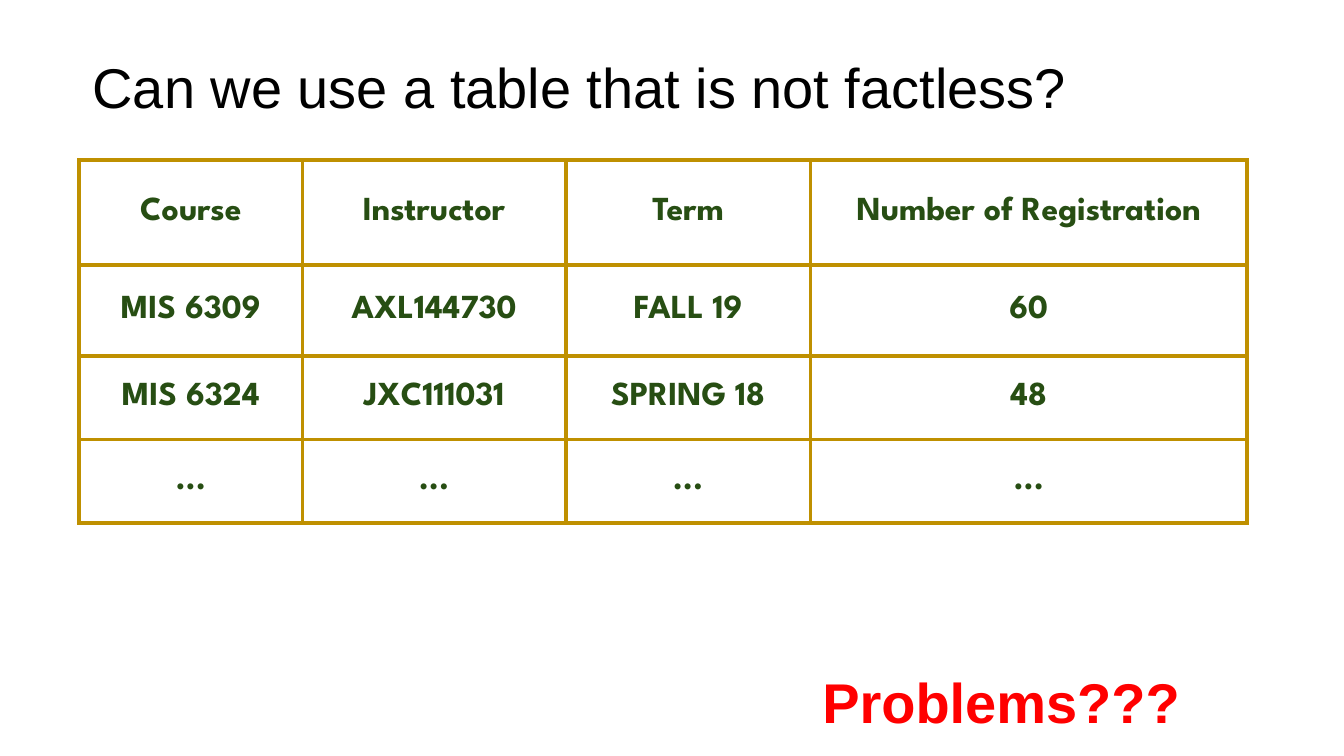
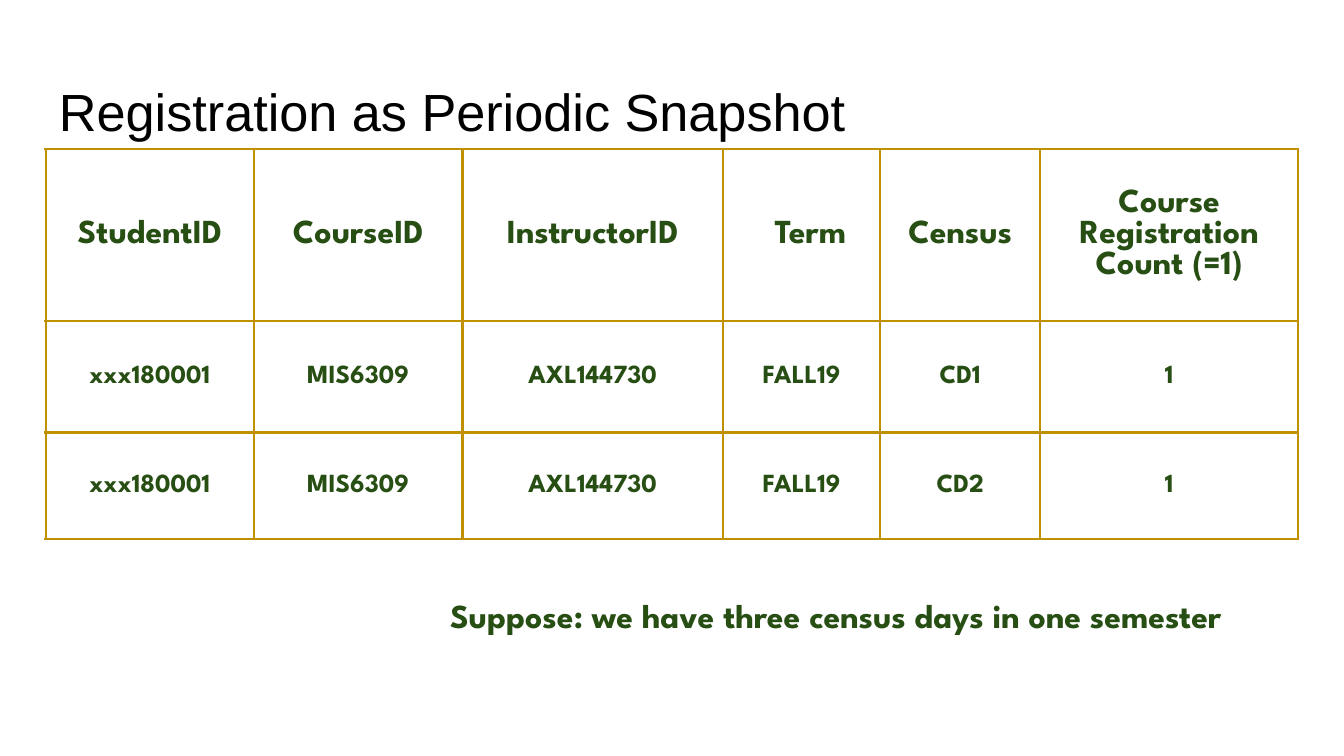
from lxml import etree
from pptx import Presentation
from pptx.dml.color import RGBColor
from pptx.enum.text import MSO_ANCHOR, PP_ALIGN
from pptx.oxml.ns import qn
from pptx.util import Inches, Pt

GREEN, GOLD, RED, BLACK = "274E13", "BF9000", "FF0000", "000000"
BODY_FONT, TITLE_FONT = "League Spartan", "Arial"
PAD = 0.1

SLIDES = [
    {
        "title": ("Can we use a table that is not factless?", (0.59, 0.29, 8.09, 0.63), 30),
        "table": {
            "at": (0.59, 1.19),
            "cols": [1.66, 1.96, 1.82, 3.25],
            "heights": [0.78, 0.68, 0.62, 0.62],
            "border": 2.25,
            "body_size": 18,
            "rows": [
                ["Course", "Instructor", "Term", "Number of Registration"],
                ["MIS 6309", "AXL144730", "FALL 19", "60"],
                ["MIS 6324", "JXC111031", "SPRING 18", "48"],
                ["..."] * 4,
            ],
        },
        "note": ("Problems???", (6.02, 4.87, 3.79, 0.76),
                 {"size": 30, "font": TITLE_FONT, "color": RED}),
    },
    {
        "title": ("Registration as Periodic Snapshot", (0.34, 0.49, 9.32, 0.63), 28),
        "table": {
            "at": (0.34, 1.11),
            "cols": [1.55, 1.55, 1.94, 1.17, 1.19, 1.92],
            "heights": [1.28, 0.83, 0.79],
            "border": 1.5,
            "body_size": 14,
            "indents": {(0, 3): 0.13},
            "rows": [
                ["StudentID", "CourseID", "InstructorID", "Term", "Census",
                 "Course Registration Count (=1)"],
                ["xxx180001", "MIS6309", "AXL144730", "FALL19", "CD1", "1"],
                ["xxx180001", "MIS6309", "AXL144730", "FALL19", "CD2", "1"],
            ],
        },
        "note": ("Suppose: we have three census days in one semester",
                 (3.25, 4.33, 6.41, 0.63), {}),
    },
]


def rgb(value):
    return RGBColor.from_string(value)


def write(tf, content, size=18, font=BODY_FONT, color=GREEN, bold=True, align=PP_ALIGN.LEFT):
    tf.word_wrap = True
    p = tf.paragraphs[0]
    p.alignment = align
    r = p.add_run()
    r.text = content
    r.font.size, r.font.name, r.font.bold = Pt(size), font, bold
    r.font.color.rgb = rgb(color)


def set_margins(target):
    """Give a cell or a text frame the same inset on every side."""
    target.margin_left = target.margin_right = Inches(PAD)
    target.margin_top = target.margin_bottom = Inches(PAD)


def add_text(slide, content, box, **fmt):
    tf = slide.shapes.add_textbox(*map(Inches, box)).text_frame
    set_margins(tf)
    write(tf, content, **fmt)


def set_borders(cell, width):
    tc_pr = cell._tc.get_or_add_tcPr()
    for i, side in enumerate(("a:lnL", "a:lnR", "a:lnT", "a:lnB")):
        ln = etree.Element(qn(side), w=str(Pt(width)))
        fill = etree.SubElement(ln, qn("a:solidFill"))
        etree.SubElement(fill, qn("a:srgbClr"), val=GOLD)
        tc_pr.insert(i, ln)


def add_table(slide, at, cols, heights, border, body_size, rows, indents={}):
    box = (*at, sum(cols), sum(heights))
    table = slide.shapes.add_table(len(rows), len(cols), *map(Inches, box)).table
    table.first_row = table.horz_banding = False
    for column, width in zip(table.columns, cols):
        column.width = Inches(width)
    for i, (height, values) in enumerate(zip(heights, rows)):
        table.rows[i].height = Inches(height)
        for j, value in enumerate(values):
            cell = table.cell(i, j)
            set_margins(cell)
            cell.margin_left += Inches(indents.get((i, j), 0))
            cell.vertical_anchor = MSO_ANCHOR.MIDDLE
            cell.fill.background()
            set_borders(cell, border)
            write(cell.text_frame, value, size=body_size if i else 18,
                  align=PP_ALIGN.CENTER)


def main():
    prs = Presentation()
    prs.slide_width = Inches(10)
    prs.slide_height = prs.slide_width * 9 // 16
    for content in SLIDES:
        slide = prs.slides.add_slide(prs.slide_layouts[6])
        title, box, size = content["title"]
        add_text(slide, title, box, size=size, font=TITLE_FONT, color=BLACK, bold=False)
        add_table(slide, **content["table"])
        note, box, fmt = content["note"]
        add_text(slide, note, box, **fmt)
    prs.save("out.pptx")


if __name__ == "__main__":
    main()
